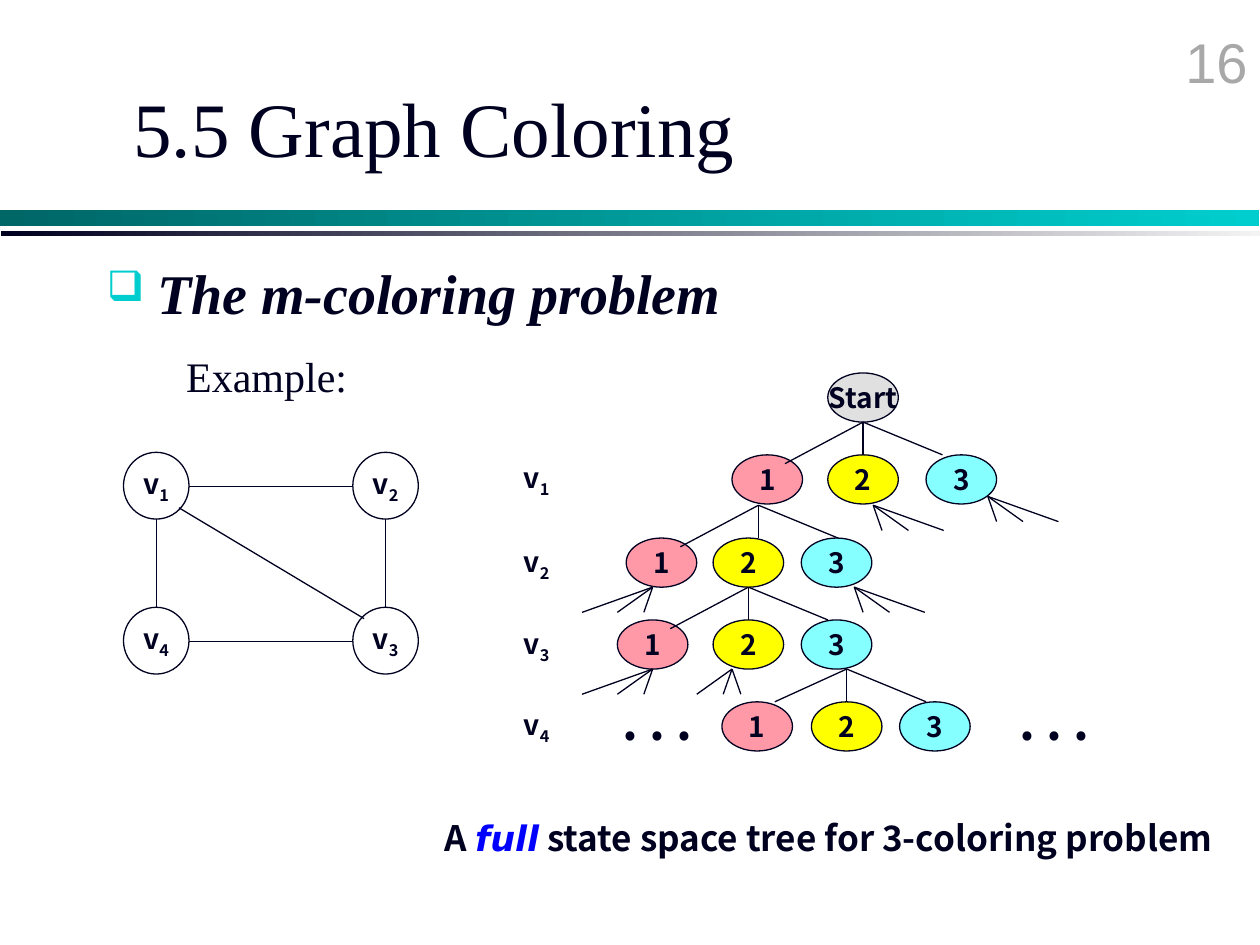
"""Build the graph coloring slide with its example graph and state space tree."""
import pptx
import pptx.dml.color
import pptx.enum.shapes
import pptx.enum.text
import pptx.oxml
import pptx.oxml.ns
import pptx.util
from pptx.util import Inches

INK = "000020"
TEAL = "00CECE"
SERIF = "Times New Roman"
SANS = "Noto Sans CJK KR"
COLORS = {"1": "FF99A8", "2": "FFFF00", "3": "85FFFF"}

GRAPH = {"1": (0.98, 3.59), "2": (2.8, 3.59), "3": (2.8, 4.82), "4": (0.98, 4.82)}
GRAPH_W, GRAPH_H = 0.52, 0.53
GRAPH_LINES = [
    (1.5, 3.86, 2.8, 3.86),
    (1.24, 4.12, 1.24, 4.82),
    (1.5, 5.09, 2.8, 5.09),
    (3.06, 4.82, 3.06, 4.12),
    (2.89, 4.91, 1.42, 4.03),
]

NODE_W, NODE_H = 0.56, 0.39
LEVELS = [
    ("1", 3.61, (5.81, 6.57, 7.35)),
    ("2", 4.27, (4.97, 5.66, 6.36)),
    ("3", 4.92, (4.9, 5.66, 6.36)),
    ("4", 5.57, (5.73, 6.44, 7.14)),
]

BRANCH = [(-0.62, 0.33), (0, 0.26), (0.63, 0.26)]
LAST_BRANCH = [(-0.57, 0.26), (0, 0.26), (0.63, 0.26)]
RIGHT_FAN = [(0.07, 0.2), (0.28, 0.2), (0.56, 0.2)]
LEFT_FAN = [(-dx, dy) for dx, dy in RIGHT_FAN]
NARROW_FAN = [(0.07, 0.2), (-0.28, 0.2), (-0.07, 0.2)]
SPREADS = [
    (BRANCH, [(6.85, 3.35), (6.02, 4.01), (5.94, 4.66)]),
    (LAST_BRANCH, [(6.72, 5.31)]),
    (RIGHT_FAN, [(7.84, 3.94), (6.93, 4.01), (6.78, 4.66)]),
    (LEFT_FAN, [(5.18, 4.66), (5.18, 5.31)]),
    (NARROW_FAN, [(5.81, 5.31)]),
]


def rgb(value):
    """Return the colour of a hex string."""
    return pptx.dml.color.RGBColor.from_string(value)


def add_run(p, text, size, font=SANS, color=INK, bold=False, italic=False, base=None):
    """Append one formatted run to a paragraph."""
    r = p.add_run()
    r.text = text
    r.font.size = pptx.util.Pt(size)
    r.font.name = font
    r.font.bold = bold
    r.font.italic = italic
    r.font.color.rgb = rgb(color)
    rPr = r._r.get_or_add_rPr()
    for tag in ("a:ea", "a:sym"):
        el = pptx.oxml.parse_xml(f'<{tag} {pptx.oxml.ns.nsdecls("a")} typeface="{font}"/>')
        rPr.append(el)
    if base is not None:
        rPr.set("baseline", str(base * 1000))


def add_vertex_name(p, number):
    """Write a vertex name with its subscript."""
    add_run(p, "v", 16, bold=True)
    add_run(p, number, 16, bold=True, base=-25)


def add_text(s, x, y, w, h, grow=False):
    """Add a wrapping text box and return its text frame."""
    tf = s.shapes.add_textbox(Inches(x), Inches(y), Inches(w), Inches(h)).text_frame
    tf.word_wrap = True
    if grow:
        tf.auto_size = pptx.enum.text.MSO_AUTO_SIZE.SHAPE_TO_FIT_TEXT
    return tf


def add_bullet(p, char, color, percent, indent):
    """Give a paragraph a hanging bullet."""
    pPr = p._p.get_or_add_pPr()
    pPr.set("marL", str(Inches(indent)))
    pPr.set("indent", str(-Inches(indent)))
    ns = pptx.oxml.ns.nsdecls("a")
    for xml in (
        f'<a:buClr {ns}><a:srgbClr val="{color}"/></a:buClr>',
        f'<a:buSzPct {ns} val="{percent * 1000}"/>',
        f'<a:buChar {ns} char="{char}"/>',
    ):
        pPr.append(pptx.oxml.parse_xml(xml))


def add_bar(s, x, y, w, h, start, end):
    """Add a bar that fades from left to right."""
    kind = pptx.enum.shapes.MSO_SHAPE.RECTANGLE
    sp = s.shapes.add_shape(kind, Inches(x), Inches(y), Inches(w), Inches(h))
    sp.shadow.inherit = False
    sp.line.fill.background()
    sp.fill.gradient()
    sp.fill.gradient_angle = 0
    for stop, position, color in zip(sp.fill.gradient_stops, (0, 1), (start, end)):
        stop.position = position
        stop.color.rgb = rgb(color)


def add_ellipse(s, x, y, w, h, fill=None):
    """Add an outlined ellipse and return its centred paragraph."""
    kind = pptx.enum.shapes.MSO_SHAPE.OVAL
    sp = s.shapes.add_shape(kind, Inches(x), Inches(y), Inches(w), Inches(h))
    sp.shadow.inherit = False
    if fill:
        sp.fill.solid()
        sp.fill.fore_color.rgb = rgb(fill)
    else:
        sp.fill.background()
    sp.line.color.rgb = rgb(INK)
    sp.line.width = pptx.util.Pt(0.75)
    tf = sp.text_frame
    tf.word_wrap = False
    tf.vertical_anchor = pptx.enum.text.MSO_ANCHOR.MIDDLE
    p = tf.paragraphs[0]
    p.alignment = pptx.enum.text.PP_ALIGN.CENTER
    return p


def add_line(s, x1, y1, x2, y2):
    """Add a thin straight line."""
    kind = pptx.enum.shapes.MSO_CONNECTOR.STRAIGHT
    cxn = s.shapes.add_connector(kind, Inches(x1), Inches(y1), Inches(x2), Inches(y2))
    cxn.line.color.rgb = rgb(INK)
    cxn.line.width = pptx.util.Pt(0.75)
    effects = pptx.oxml.parse_xml(f'<a:effectLst {pptx.oxml.ns.nsdecls("a")}/>')
    cxn._element.spPr.append(effects)


def add_heading(s):
    """Add the bars, page number, title and topic."""
    add_bar(s, 0, 1.67, 9.99, 0.12, "006666", TEAL)
    add_bar(s, 0.01, 1.83, 9.99, 0.04, INK, "F3F3F3")
    p = add_text(s, 7.92, 0.17, 2.08, 0.5).paragraphs[0]
    p.alignment = pptx.enum.text.PP_ALIGN.RIGHT
    p.space_before = pptx.util.Pt(3)
    add_run(p, "16", 32, "Arial", "A8A8A8")
    tf = add_text(s, 0.96, 0.38, 8.52, 1.25)
    tf.vertical_anchor = pptx.enum.text.MSO_ANCHOR.MIDDLE
    add_run(tf.paragraphs[0], "5.5 Graph Coloring", 44, SERIF)
    p = add_text(s, 0.75, 2, 8.66, 0.88).paragraphs[0]
    p.space_before = pptx.util.Pt(5)
    add_bullet(p, "❑", TEAL, 75, 0.4)
    add_run(p, "The m-coloring problem", 32, SERIF, bold=True, italic=True)


def add_graph(s):
    """Add the example graph."""
    p = add_text(s, 1.38, 2.73, 2.44, 0.5, grow=True).paragraphs[0]
    add_run(p, "Example:", 24, SERIF)
    for number, (x, y) in GRAPH.items():
        add_vertex_name(add_ellipse(s, x, y, GRAPH_W, GRAPH_H), number)
    for ends in GRAPH_LINES:
        add_line(s, *ends)


def add_tree(s):
    """Add the state space tree and its caption."""
    add_run(add_ellipse(s, 6.57, 2.96, NODE_W, NODE_H, "E0E0E0"), "Start", 16, bold=True)
    for vertex, y, lefts in LEVELS:
        add_vertex_name(add_text(s, 4.06, y, 0.63, 0.37, grow=True).paragraphs[0], vertex)
        for x, (name, fill) in zip(lefts, COLORS.items()):
            add_run(add_ellipse(s, x, y, NODE_W, NODE_H, fill), name, 16, bold=True)
    for spread, starts in SPREADS:
        for x, y in starts:
            for dx, dy in spread:
                add_line(s, x, y, x + dx, y + dy)
    for x in (4.69, 7.84):
        tf = add_text(s, x, 5.44, 0.98, 0.57, grow=True)
        tf.margin_left = Inches(0.25)
        add_run(tf.paragraphs[0], ". . .", 28, bold=True)
    p = add_text(s, 3.43, 6.43, 6.32, 0.43, grow=True).paragraphs[0]
    add_run(p, "A ", 20, bold=True)
    add_run(p, "full", 20, "DejaVu Sans", "0000FF", bold=True, italic=True)
    add_run(p, " state space tree for 3-coloring problem", 20, bold=True)


def main():
    """Build and save the slide."""
    prs = pptx.Presentation()
    prs.slide_width, prs.slide_height = Inches(10), Inches(7.5)
    s = prs.slides.add_slide(prs.slide_layouts[6])
    add_heading(s)
    add_graph(s)
    add_tree(s)
    prs.save("out.pptx")


if __name__ == "__main__":
    main()
